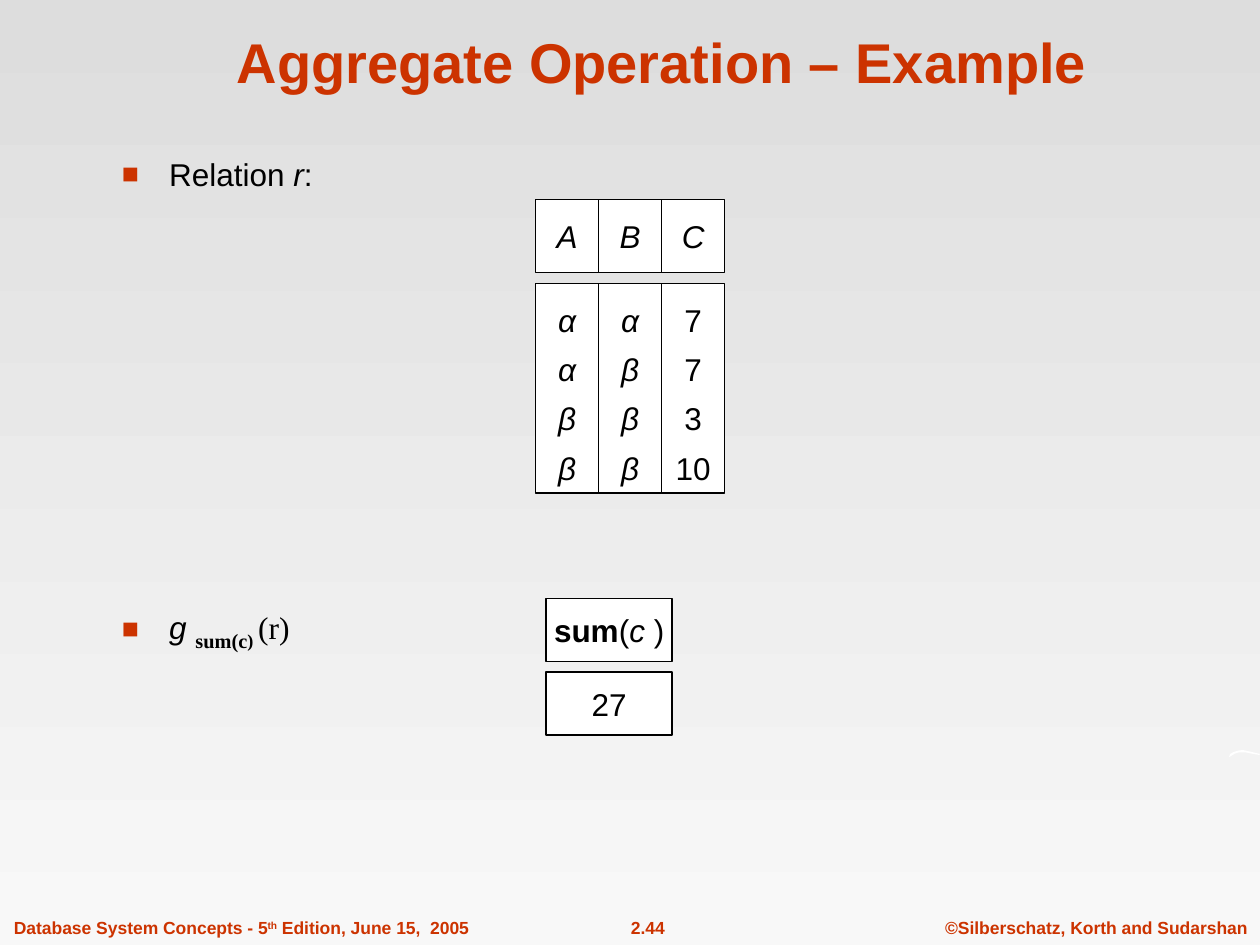
import pptx
import pptx.dml.color
import pptx.enum.shapes
import pptx.enum.text
import pptx.oxml
import pptx.oxml.ns
import pptx.util
from lxml import etree

Cm, Pt = pptx.util.Cm, pptx.util.Pt
ALIGN, ANCHOR = pptx.enum.text.PP_ALIGN, pptx.enum.text.MSO_ANCHOR
COLORS = {"accent": "CC3300", "ink": "000000", "paper": "FFFFFF",
          "sky_top": "DDDDDD", "sky_bottom": "F8F8F8"}


def rgb(key):
    return pptx.dml.color.RGBColor.from_string(COLORS[key])


def add_bullet(paragraph):
    """Square accent bullet with a hanging indent."""
    props = paragraph._p.get_or_add_pPr()
    props.set("marL", str(Cm(0.95)))
    props.set("indent", str(-Cm(0.95)))
    color = etree.SubElement(props, pptx.oxml.ns.qn("a:buClr"))
    etree.SubElement(color, pptx.oxml.ns.qn("a:srgbClr"), val=COLORS["accent"])
    etree.SubElement(props, pptx.oxml.ns.qn("a:buSzPct"), val="90000")
    etree.SubElement(props, pptx.oxml.ns.qn("a:buFont"), typeface="Arial")
    etree.SubElement(props, pptx.oxml.ns.qn("a:buChar"), char="■")


def write(paragraph, runs, size=18, color="ink", bold=None, italic=None,
          font="Arial", align=ALIGN.LEFT, before=0):
    """Fill a paragraph from (text, overrides) pairs."""
    paragraph.alignment = align
    paragraph.space_before = Pt(before)
    base = paragraph.font
    base.name, base.size = font, Pt(size)
    base.bold, base.italic = bold, italic
    base.color.rgb = rgb(color)
    for text, style in runs:
        run = paragraph.add_run()
        run.text = text
        for key, value in style.items():
            if key == "baseline":
                run._r.get_or_add_rPr().set("baseline", str(value * 1000))
            else:
                setattr(run.font, key, value)


def add_text(slide, box, runs, wrap=True, anchor=ANCHOR.TOP, bullet=False, **style):
    frame = slide.shapes.add_textbox(*map(Cm, box)).text_frame
    frame.word_wrap = wrap
    frame.vertical_anchor = anchor
    if not wrap:
        frame.auto_size = pptx.enum.text.MSO_AUTO_SIZE.SHAPE_TO_FIT_TEXT
    if bullet:
        add_bullet(frame.paragraphs[0])
    write(frame.paragraphs[0], runs, **style)


def add_cell(slide, box, lines, spacing=None, italic=None):
    """White outlined box with one centred paragraph for each line."""
    cell = slide.shapes.add_shape(pptx.enum.shapes.MSO_SHAPE.RECTANGLE, *map(Cm, box))
    cell.shadow.inherit = False
    cell.fill.solid()
    cell.fill.fore_color.rgb = rgb("paper")
    cell.line.color.rgb = rgb("ink")
    cell.line.width = Pt(0.75)
    frame = cell.text_frame
    frame.word_wrap = False
    frame.vertical_anchor = ANCHOR.MIDDLE
    for index, runs in enumerate(lines):
        paragraph = frame.add_paragraph() if index else frame.paragraphs[0]
        if spacing:
            paragraph.line_spacing = spacing
        write(paragraph, runs, italic=italic, align=ALIGN.CENTER)


def paint_background(slide):
    fill = slide.background.fill
    fill.gradient()
    fill.gradient_angle = 270
    for stop, key in zip(fill.gradient_stops, ("sky_top", "sky_bottom")):
        stop.color.rgb = rgb(key)


def add_sliver(slide, left, top):
    """Small white arc at the right edge."""
    outline = [(0, 0.15), (0.03, 0.08), (0.1, 0.04), (0.2, 0.01), (0.28, 0),
               (0.42, 0.03), (0.63, 0.08), (0.62, 0.1), (0.5, 0.08),
               (0.35, 0.05), (0.2, 0.05), (0.13, 0.07), (0.03, 0.13)]
    points = [(Cm(left + x), Cm(top + y)) for x, y in outline]
    builder = slide.shapes.build_freeform(*points[0])
    builder.add_line_segments(points[1:], close=True)
    sliver = builder.convert_to_shape()
    sliver.shadow.inherit = False
    sliver.fill.solid()
    sliver.fill.fore_color.rgb = rgb("paper")
    sliver.line.fill.background()


def add_footer(slide, top, height):
    edition = [("Database System Concepts - 5", {}), ("th", {"baseline": 30}),
               (" Edition, June 15,  2005", {})]
    for left, width, runs, align in (
            (0.03, 9.68, edition, ALIGN.LEFT),
            (11.82, 2.48, [("2.44", {})], ALIGN.CENTER),
            (18.8, 6.6, [("©Silberschatz, Korth and Sudarshan", {})], ALIGN.CENTER)):
        add_text(slide, (left, top, width, height), runs, wrap=False, size=10,
                 color="accent", bold=True, align=align, before=6.2)


def add_relation(slide, left, top, column_width):
    """Header boxes above the value boxes, one pair for each attribute."""
    header_height, body_offset, body_height = 1.48, 1.69, 4.23
    columns = {"A": "α α β β", "B": "α β β β", "C": "7 7 3 10"}
    for index, (name, values) in enumerate(columns.items()):
        x = left + index * column_width
        add_cell(slide, (x, top, column_width, header_height), [[(name, {})]], italic=True)
        add_cell(slide, (x, top + body_offset, column_width, body_height),
                 [[(value, {})] for value in values.split()],
                 spacing=1.3, italic=name != "C")


def add_result(slide, left, top, width, height):
    heading = [("sum", {"bold": True}), ("(", {}), ("c ", {"italic": True}), (")", {})]
    for index, runs in enumerate((heading, [("27", {})])):
        add_cell(slide, (left, top + index * (height + 0.21), width, height), [runs])


def add_expression(slide, box):
    times = {"name": "Times New Roman"}
    subscript = {**times, "bold": True, "baseline": -25}
    add_text(slide, box,
             [("g ", {"italic": True}), ("sum(c", {**subscript, "size": Pt(20)}),
              (") ", subscript), ("(r)", times)],
             bullet=True, before=7.9)


def main():
    deck = pptx.Presentation()
    deck.slide_width, deck.slide_height = Cm(25.4), Cm(19.05)
    slide = deck.slides.add_slide(deck.slide_layouts[6])

    # Backdrop and footer
    paint_background(slide)
    add_footer(slide, 18.36, 0.69)
    add_sliver(slide, 24.77, 15.12)

    # Title
    add_text(slide, (2.13, 0.33, 22.43, 1.7), [("Aggregate Operation – Example", {})],
             anchor=ANCHOR.BOTTOM, size=32, color="accent", bold=True, align=ALIGN.CENTER)

    # Relation r
    add_text(slide, (2.21, 3, 4.9, 1.6),
             [("Relation ", {}), ("r", {"italic": True}), (":", {})],
             bullet=True, before=7.9)
    add_relation(slide, 10.8, 4.02, 1.27)

    # Aggregate and its result
    add_expression(slide, (2.21, 12.07, 5.59, 1.55))
    add_result(slide, 11.01, 12.07, 2.54, 1.27)

    deck.save("out.pptx")


if __name__ == "__main__":
    main()
